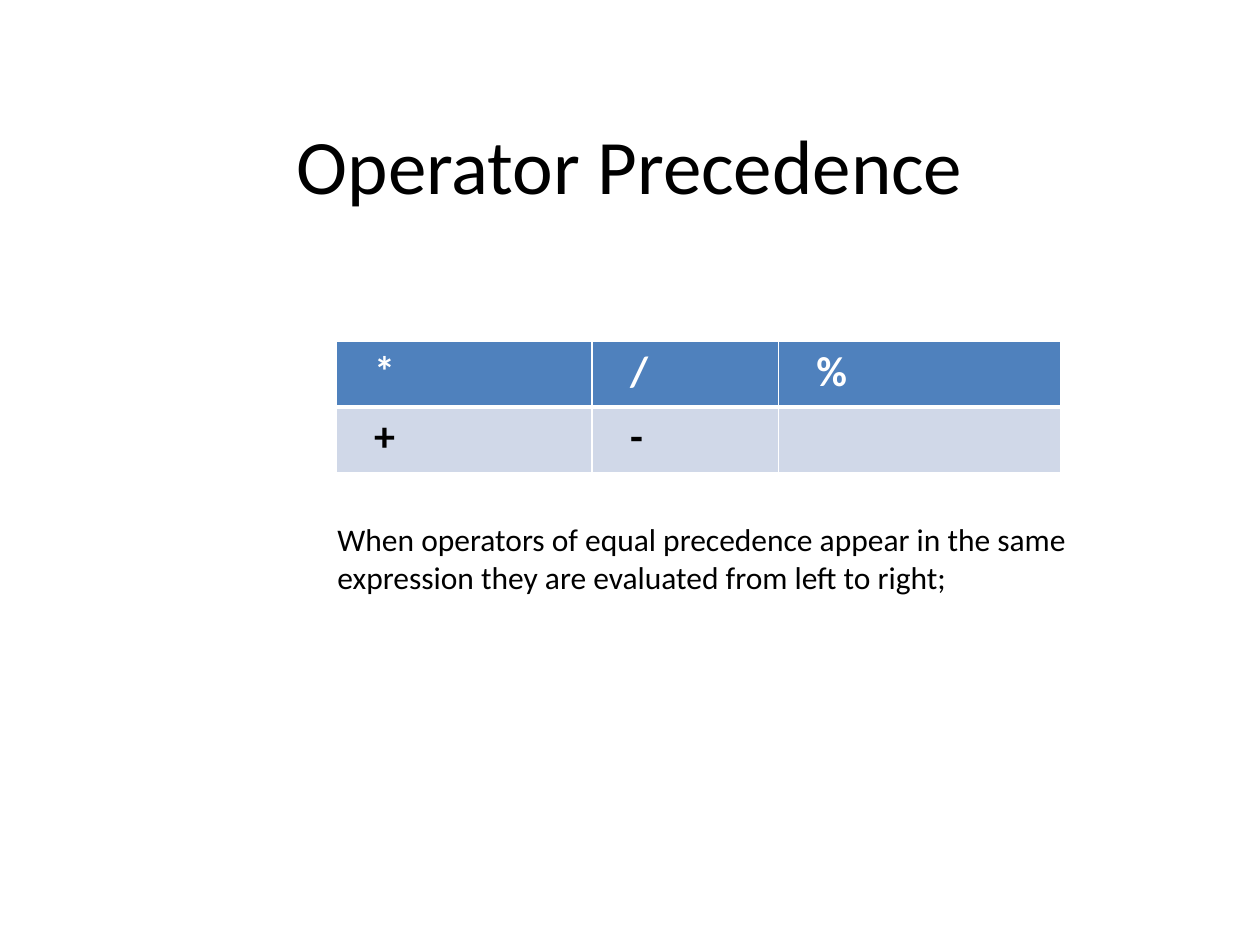
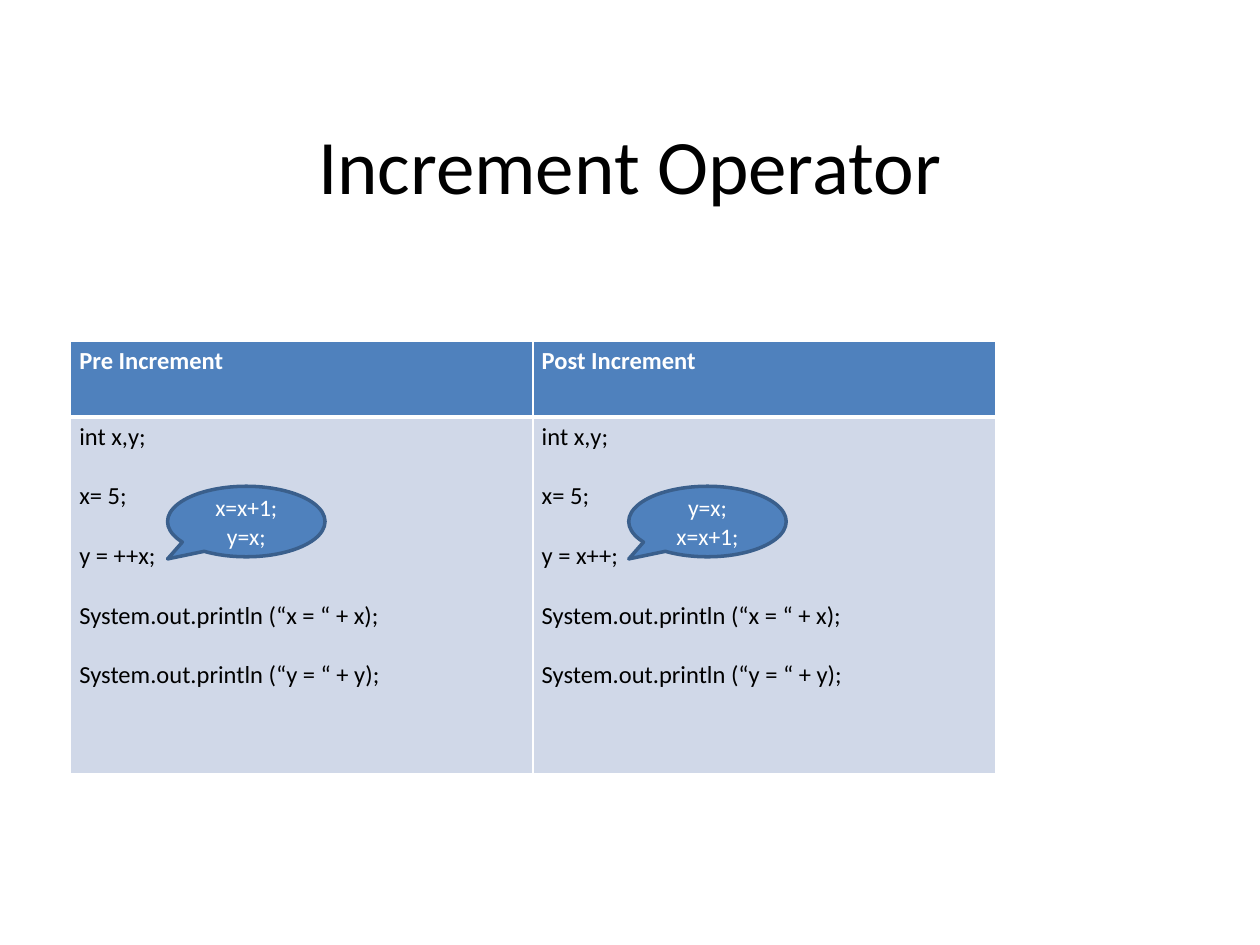
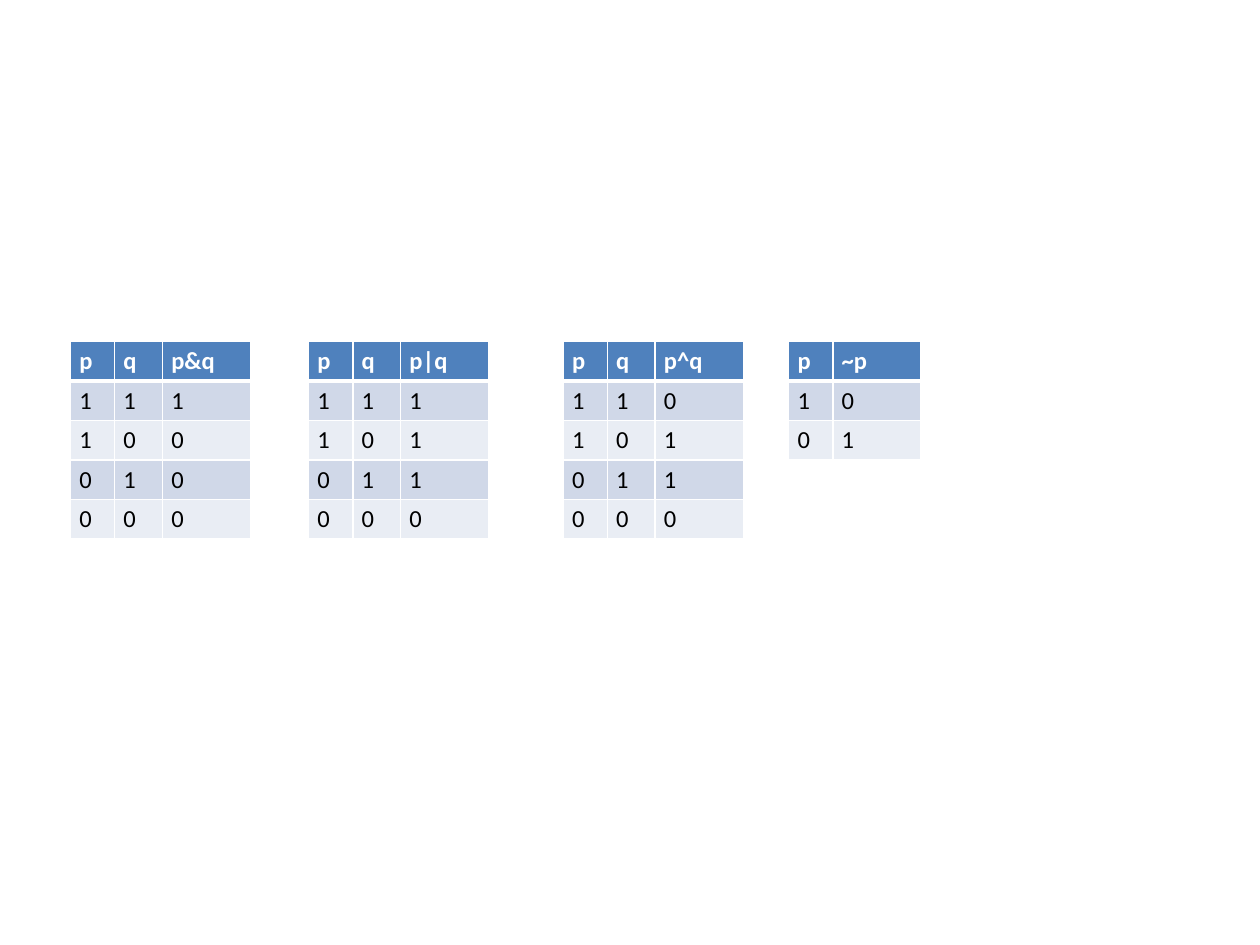
from lxml import etree
from pptx import Presentation
from pptx.dml.color import RGBColor
from pptx.enum.shapes import MSO_SHAPE
from pptx.enum.text import MSO_ANCHOR, PP_ALIGN
from pptx.oxml.ns import qn
from pptx.util import Inches, Pt

CALLOUT = MSO_SHAPE.OVAL_CALLOUT
MIDDLE, TOP = MSO_ANCHOR.MIDDLE, MSO_ANCHOR.TOP
LEFT, CENTER = PP_ALIGN.LEFT, PP_ALIGN.CENTER

FONT = "Calibri"
BLUE, DARK_BLUE = "4F81BD", "3A5F8C"
BANDS = ["D0D8E8", "E9EDF4"]
WHITE, BLACK = "FFFFFF", "000000"
TABLE_TOP = 2.71


def color(hex_code):
    return RGBColor.from_string(hex_code)


def write(frame, text, size=18, ink=BLACK, bold=False, align=LEFT, anchor=TOP, gap=0):
    frame.word_wrap = True
    frame.vertical_anchor = anchor
    for i, line in enumerate(text.split("\n")):
        paragraph = frame.paragraphs[0] if i == 0 else frame.add_paragraph()
        paragraph.alignment = align
        if i and gap:
            paragraph.space_before = Pt(gap)
        paragraph.font.size = Pt(size)
        if line:
            run = paragraph.add_run()
            run.text = line
            run.font.name = FONT
            run.font.size = Pt(size)
            run.font.bold = bold
            run.font.color.rgb = color(ink)


def add_text(slide, box, text, **style):
    frame = slide.shapes.add_textbox(*map(Inches, box)).text_frame
    write(frame, text, **style)


def add_title(slide, text):
    add_text(slide, (0.5, 0.67, 9, 1.25), text, size=44, align=CENTER, anchor=MIDDLE)


def set_borders(cell, top, bottom):
    properties = cell._tc.get_or_add_tcPr()
    for side, width in (("L", 1), ("R", 1), ("T", top), ("B", bottom)):
        border = etree.SubElement(properties, qn(f"a:ln{side}"), w=str(Pt(width)))
        fill = etree.SubElement(border, qn("a:solidFill"))
        etree.SubElement(fill, qn("a:srgbClr"), val=WHITE)


def add_grid(slide, left, widths, heights, rows, size=14, inset=0.07, bold=False, gap=0):
    table = slide.shapes.add_table(
        len(rows), len(widths), Inches(left), Inches(TABLE_TOP),
        Inches(sum(widths)), Inches(sum(heights))).table
    for column, width in zip(table.columns, widths):
        column.width = Inches(width)
    for r, (values, height) in enumerate(zip(rows, heights)):
        table.rows[r].height = Inches(height)
        header = r == 0
        for c, value in enumerate(values):
            cell = table.cell(r, c)
            cell.margin_left = cell.margin_right = Inches(inset)
            cell.margin_top = cell.margin_bottom = Inches(0.04)
            set_borders(cell, top=3 if r == 1 else 1, bottom=3 if header else 1)
            cell.fill.solid()
            cell.fill.fore_color.rgb = color(BLUE if header else BANDS[(r - 1) % 2])
            write(cell.text_frame, value, size=size, bold=header or bold,
                  ink=WHITE if header else BLACK, gap=gap)


def add_callout(slide, left, text):
    bubble = slide.shapes.add_shape(
        CALLOUT, Inches(left), Inches(3.86), Inches(1.25), Inches(0.56))
    bubble.adjustments[0], bubble.adjustments[1] = -0.5, 0.53
    bubble.shadow.inherit = False
    bubble.fill.solid()
    bubble.fill.fore_color.rgb = color(BLUE)
    bubble.line.color.rgb = color(DARK_BLUE)
    bubble.line.width = Pt(2)
    write(bubble.text_frame, text, size=13.5, ink=WHITE, align=CENTER, anchor=MIDDLE)


def add_truth_table(slide, left, header, rows):
    widths = [0.35, 0.38, 0.7] if len(header) == 3 else [0.35, 0.7]
    heights = [0.31] * (len(rows) + 1)
    add_grid(slide, left, widths, heights, [header, *rows])


def increment_code(expression):
    return "\n".join([
        "int x,y;", "x= 5;", f"y = {expression};",
        "System.out.println (“x = “ + x);",
        "System.out.println (“y = “ + y);"])


def build_precedence(slide):
    add_title(slide, "Operator Precedence")
    add_grid(slide, 2.67, [2.03, 1.48, 2.24], [0.52, 0.52],
             ["*/%", ["+", "-", ""]], size=24, inset=0.3, bold=True)
    add_text(slide, (2.58, 4.08, 6.25, 0.71),
             "When operators of equal precedence appear in the same expression "
             "they are evaluated from left to right;")


def build_increment(slide):
    add_title(slide, "Increment Operator")
    add_grid(slide, 0.56, [3.67, 3.67], [0.6, 2.83],
             [["Pre Increment", "Post Increment"],
              [increment_code("++x"), increment_code("x++")]], gap=17)
    add_callout(slide, 1.33, "x=x+1;\ny=x;")
    add_callout(slide, 4.99, "y=x;\nx=x+1;")


def build_truth_tables(slide):
    inputs = ["11", "10", "01", "00"]
    for left, operator, results in ((0.56, "&", "1000"), (2.45, "|", "1110"),
                                    (4.47, "^", "0110")):
        rows = [pair + result for pair, result in zip(inputs, results)]
        add_truth_table(slide, left, ["p", "q", f"p{operator}q"], rows)
    add_truth_table(slide, 6.26, ["p", "~p"], ["10", "01"])


def main():
    deck = Presentation()
    deck.slide_width, deck.slide_height = Inches(10), Inches(7.5)
    for build in (build_precedence, build_increment, build_truth_tables):
        build(deck.slides.add_slide(deck.slide_layouts[6]))
    deck.save("out.pptx")


if __name__ == "__main__":
    main()
